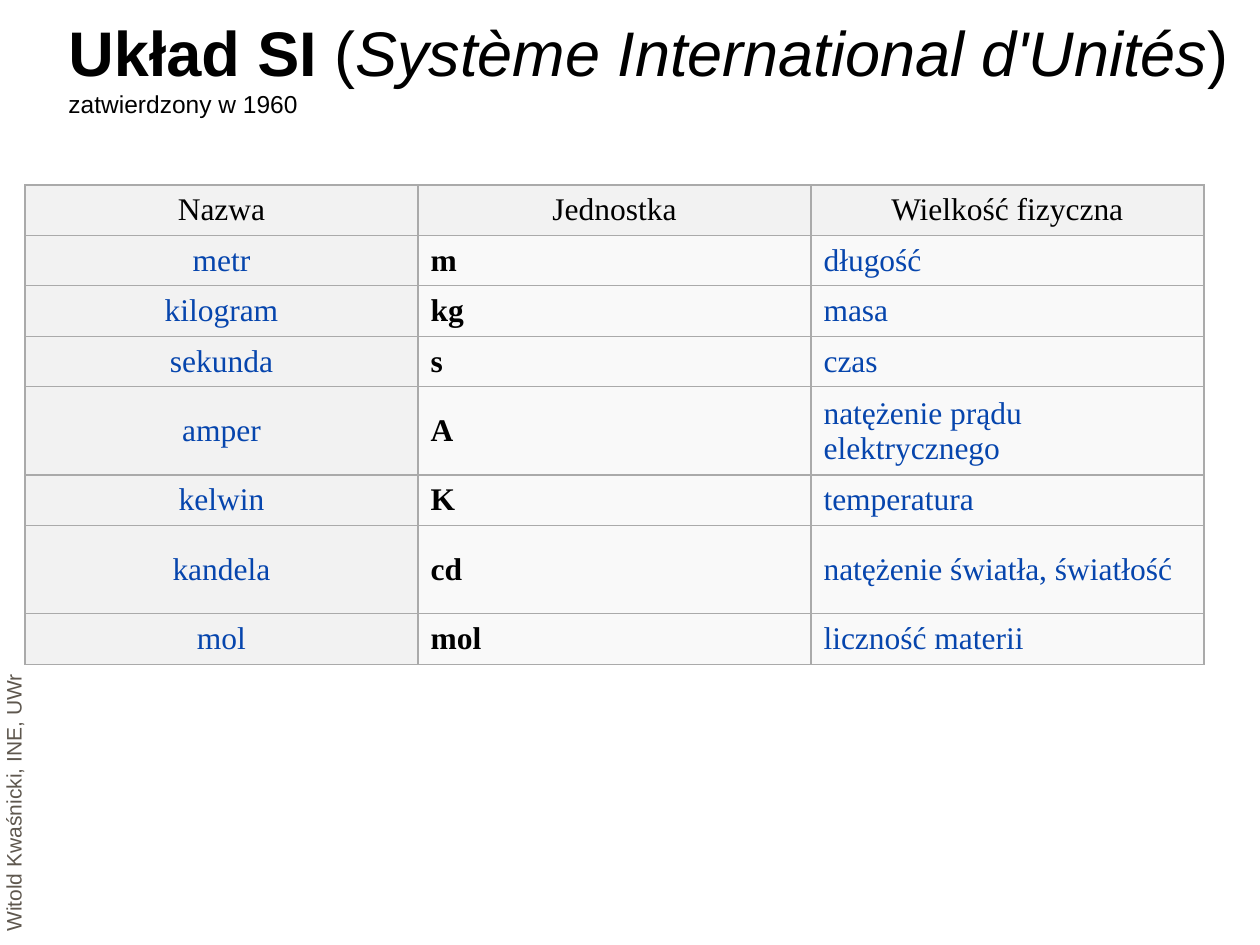
from dataclasses import dataclass

from lxml import etree
from pptx import Presentation
from pptx.dml.color import RGBColor
from pptx.enum.text import MSO_ANCHOR, PP_ALIGN
from pptx.oxml.ns import qn
from pptx.util import Pt

PIXEL = 914400 / 126
SLIDE_WIDTH, SLIDE_HEIGHT = 1260, 945
BLANK_LAYOUT = 6
LEFT, CENTER = PP_ALIGN.LEFT, PP_ALIGN.CENTER
MIDDLE, BOTTOM = MSO_ANCHOR.MIDDLE, MSO_ANCHOR.BOTTOM


@dataclass(frozen=True)
class Theme:
    heading_font: str = "Arial"
    table_font: str = "Times New Roman"
    black: str = "000000"
    link: str = "0645AD"
    credit: str = "5E574E"
    header_fill: str = "F2F2F2"
    body_fill: str = "F9F9F9"
    border: str = "AAAAAA"
    border_width: float = 0.75
    title_size: int = 36
    subtitle_size: int = 14
    table_size: int = 18
    credit_size: int = 12


THEME = Theme()

HEADERS = ("Nazwa", "Jednostka", "Wielkość fizyczna")
# Unit name, symbol, physical quantity, relative row height
UNITS = (
    ("metr", "m", "długość", 4),
    ("kilogram", "kg", "masa", 4),
    ("sekunda", "s", "czas", 4),
    ("amper", "A", "natężenie prądu elektrycznego", 7),
    ("kelwin", "K", "temperatura", 4),
    ("kandela", "cd", "natężenie światła, światłość", 7),
    ("mol", "mol", "liczność materii", 4),
)
HEADER_WEIGHT = 4


def px(length):
    return round(length * PIXEL)


def add_run(paragraph, text, font, size, color, bold=False, italic=False):
    run = paragraph.add_run()
    run.text = text
    run.font.name = font
    run.font.size = Pt(size)
    run.font.color.rgb = RGBColor.from_string(color)
    run.font.bold = bold
    run.font.italic = italic


def add_text_box(slide, box):
    shape = slide.shapes.add_textbox(*map(px, box))
    shape.text_frame.word_wrap = True
    shape.text_frame.vertical_anchor = BOTTOM
    return shape


def add_title(slide, box):
    paragraph = add_text_box(slide, box).text_frame.paragraphs[0]
    title_runs = (
        ("Układ SI ", True, False),
        ("(", False, False),
        ("Système International d'Unités", False, True),
        (") ", False, False),
    )
    for text, bold, italic in title_runs:
        add_run(paragraph, text, THEME.heading_font, THEME.title_size,
                THEME.black, bold, italic)
    paragraph.add_line_break()
    add_run(paragraph, "zatwierdzony w 1960", THEME.heading_font,
            THEME.subtitle_size, THEME.black)


def add_borders(cell):
    properties = cell._tc.get_or_add_tcPr()
    for side in ("a:lnL", "a:lnR", "a:lnT", "a:lnB"):
        line = etree.SubElement(properties, qn(side), w=str(Pt(THEME.border_width)))
        fill = etree.SubElement(line, qn("a:solidFill"))
        etree.SubElement(fill, qn("a:srgbClr"), val=THEME.border)


def fill_cell(cell, text, color, background, alignment, bold=False):
    add_borders(cell)
    cell.fill.solid()
    cell.fill.fore_color.rgb = RGBColor.from_string(background)
    cell.vertical_anchor = MIDDLE
    paragraph = cell.text_frame.paragraphs[0]
    paragraph.alignment = alignment
    add_run(paragraph, text, THEME.table_font, THEME.table_size, color, bold)


def add_units_table(slide, box):
    width, height = box[2:]
    frame = slide.shapes.add_table(len(UNITS) + 1, len(HEADERS), *map(px, box))
    table = frame.table
    table.first_row = False
    table.horz_banding = False

    # Column widths are equal, row heights follow their weights
    for column in table.columns:
        column.width = px(width / len(HEADERS))
    weights = [HEADER_WEIGHT] + [unit[-1] for unit in UNITS]
    for row, weight in zip(table.rows, weights):
        row.height = px(height * weight / sum(weights))

    # Header row
    for column, text in enumerate(HEADERS):
        fill_cell(table.cell(0, column), text, THEME.black, THEME.header_fill, CENTER)

    # One row for each base unit
    for row, (name, symbol, quantity, _) in enumerate(UNITS, start=1):
        fill_cell(table.cell(row, 0), name, THEME.link, THEME.header_fill, CENTER)
        fill_cell(table.cell(row, 1), symbol, THEME.black, THEME.body_fill, LEFT, True)
        fill_cell(table.cell(row, 2), quantity, THEME.link, THEME.body_fill, LEFT)


def add_side_credit(slide, box):
    """Place text that reads upwards inside an upright box."""
    left, top, width, height = box
    center_x, center_y = left + width / 2, top + height / 2
    shape = add_text_box(
        slide, (center_x - height / 2, center_y - width / 2, height, width))
    shape.rotation = 270
    add_run(shape.text_frame.paragraphs[0], "Witold Kwaśnicki, INE, UWr",
            THEME.heading_font, THEME.credit_size, THEME.credit)


def main():
    presentation = Presentation()
    presentation.slide_width = px(SLIDE_WIDTH)
    presentation.slide_height = px(SLIDE_HEIGHT)
    slide = presentation.slides.add_slide(presentation.slide_layouts[BLANK_LAYOUT])

    add_title(slide, (56, 32, 1204, 93))
    add_units_table(slide, (25, 185, 1179, 479))
    add_side_credit(slide, (4, 414, 28, 530))

    presentation.save("out.pptx")


if __name__ == "__main__":
    main()
